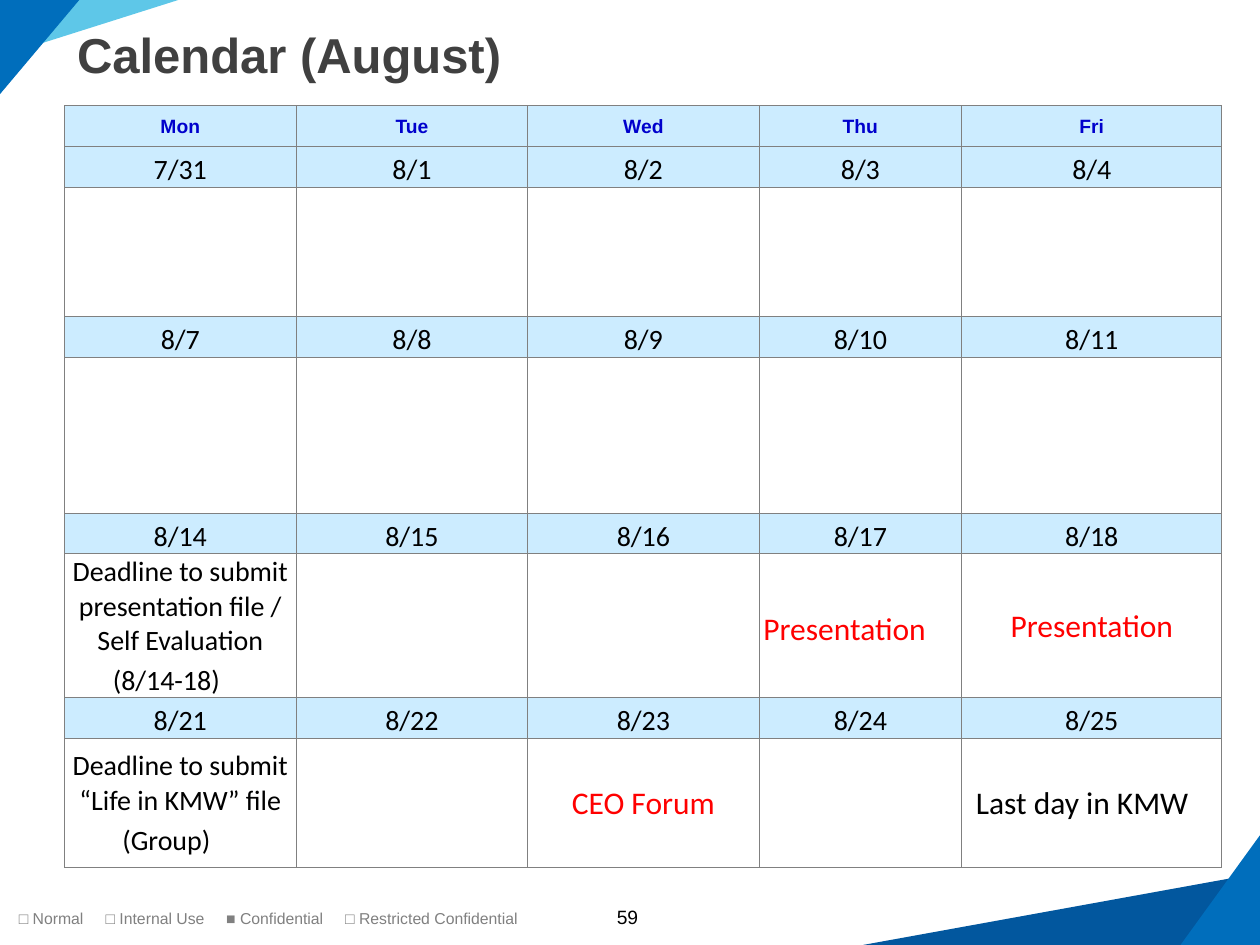
from lxml import etree
from pptx import Presentation
from pptx import util as u
from pptx.dml.color import RGBColor
from pptx.enum import shapes, text
from pptx.oxml.ns import qn

BLACK, RED, BLUE, GREY = "000000", "FF0000", "0000CC", "808080"


def rgb(value):
    return RGBColor.from_string(value)


def style(p, size, color, name, bold=False):
    for r in p.runs:
        r.font.size, r.font.name, r.font.bold = u.Pt(size), name, bold
        r.font.color.rgb = rgb(color)


prs = Presentation()
prs.slide_width, prs.slide_height = u.Cm(25.4), u.Cm(19.05)
s = prs.slides.add_slide(prs.slide_layouts[5])

# Corner triangles: left, top, width, height, colour, flip
corners = [
    (0, 0, 3.6, 1.14, "5EC7E8", "flipV"),
    (0, 0, 1.6, 1.9, "006EBC", "flipV"),
    (17.4, 17.6, 8, 1.45, "02579E", "flipH"),
    (23.8, 16.84, 1.6, 2.21, "006EBC", "flipH"),
]
for left, top, width, height, color, flip in corners:
    sp = s.shapes.add_shape(shapes.MSO_SHAPE.RIGHT_TRIANGLE, u.Cm(left),
                            u.Cm(top), u.Cm(width), u.Cm(height))
    sp.shadow.inherit = False
    sp.fill.solid()
    sp.fill.fore_color.rgb = rgb(color)
    sp.line.fill.background()
    sp._element.spPr.get_or_add_xfrm().set(flip, "1")

# Title
title = s.shapes.title
title.left, title.top = u.Cm(1.3), u.Cm(0.56)
title.width, title.height = u.Cm(22.8), u.Cm(1.2)
tf = title.text_frame
tf.text = "Calendar (August)"
tf.auto_size = text.MSO_AUTO_SIZE.NONE
tf.vertical_anchor = text.MSO_ANCHOR.MIDDLE
p = tf.paragraphs[0]
p.alignment = text.PP_ALIGN.LEFT
p.line_spacing = 0.9
style(p, 28, "404040", "Arial", True)

# Footer: classification, spaced by tab stops
tf = s.shapes.add_textbox(u.Cm(0.13), u.Cm(18.19), u.Cm(11.45), u.Cm(0.64)).text_frame
tf.word_wrap = True
p = tf.paragraphs[0]
tabs = etree.SubElement(p._p.get_or_add_pPr(), qn("a:tabLst"))
for stop in (1.75, 4.18, 6.58):
    etree.SubElement(tabs, qn("a:tab"), pos=str(u.Cm(stop)), algn="l")
p.text = "\t".join(["□ Normal", "□ Internal Use", "■ Confidential",
                    "□ Restricted Confidential"])
style(p, 9, GREY, "Arial")

# Footer: page number
tf = s.shapes.add_textbox(u.Cm(11.52), u.Cm(18.18), u.Cm(2.26), u.Cm(0.6)).text_frame
tf.margin_top = tf.margin_bottom = 0
tf.word_wrap = True
tf.text = "59"
tf.vertical_anchor = text.MSO_ANCHOR.MIDDLE
tf.paragraphs[0].alignment = text.PP_ALIGN.CENTER
style(tf.paragraphs[0], 11, BLACK, "Arial")

# Calendar content: one date row and one event row per week
days = ["Mon", "Tue", "Wed", "Thu", "Fri"]
weeks = [
    ["7/31", "8/1", "8/2", "8/3", "8/4"],
    ["8/7", "8/8", "8/9", "8/10", "8/11"],
    ["8/14", "8/15", "8/16", "8/17", "8/18"],
    ["8/21", "8/22", "8/23", "8/24", "8/25"],
]
# (week, day): text, size, colour
events = {
    (2, 0): ("Deadline to submit presentation file /\n"
             "Self Evaluation (8/14-18)　", 16, BLACK),
    (2, 3): ("Presentation　", 18, RED),
    (2, 4): ("Presentation", 18, RED),
    (3, 0): ("Deadline to submit “Life in KMW” file (Group)　", 16, BLACK),
    (3, 2): ("CEO Forum", 18, RED),
    (3, 4): ("Last day in KMW", 18, BLACK),
}
col_widths = [4.67, 4.67, 4.66, 4.09, 5.24]
event_heights = [2.61, 3.14, 2.9, 2.61]
label_height = 0.82
row_heights = [label_height]
for height in event_heights:
    row_heights += [label_height, height]

# Calendar table
table = s.shapes.add_table(len(row_heights), len(days), u.Cm(1.3), u.Cm(2.13),
                           u.Cm(sum(col_widths)), u.Cm(sum(row_heights))).table
table.first_row = table.horz_banding = False
for col, width in zip(table.columns, col_widths):
    col.width = u.Cm(width)
for row, height in zip(table.rows, row_heights):
    row.height = u.Cm(height)

for i in range(len(row_heights)):
    week = (i - 1) // 2
    is_label = i == 0 or i % 2 == 1
    for j, day in enumerate(days):
        cell = table.cell(i, j)
        cell.margin_left = cell.margin_right = cell.margin_top = u.Cm(0.03)
        cell.margin_bottom = 0
        cell.vertical_anchor = text.MSO_ANCHOR.MIDDLE
        name, bold = "Calibri", False
        if i == 0:
            content, size, color, name, bold = day, 11, BLUE, "Arial", True
        elif is_label:
            content, size, color = weeks[week][j], 16, BLACK
            cell.vertical_anchor = text.MSO_ANCHOR.BOTTOM
        else:
            content, size, color = events.get((week, j), ("", 16, BLACK))
        cell.text_frame.text = content
        for p in cell.text_frame.paragraphs:
            p.alignment = text.PP_ALIGN.CENTER
            style(p, size, color, name, bold)

        # Borders come before the fill in the cell properties
        tcPr = cell._tc.get_or_add_tcPr()
        for side in ("lnL", "lnR", "lnT", "lnB"):
            ln = etree.SubElement(tcPr, qn("a:" + side), w=str(u.Pt(0.5)))
            fill = etree.SubElement(ln, qn("a:solidFill"))
            etree.SubElement(fill, qn("a:srgbClr"), val=GREY)
        if is_label:
            cell.fill.solid()
            cell.fill.fore_color.rgb = rgb("CCECFF")
        else:
            cell.fill.background()

# The last event ends in a small full-width space
r = table.cell(8, 4).text_frame.paragraphs[0].add_run()
r.text = "　"
r.font.size, r.font.name = u.Pt(11), "Calibri"

prs.save("out.pptx")
